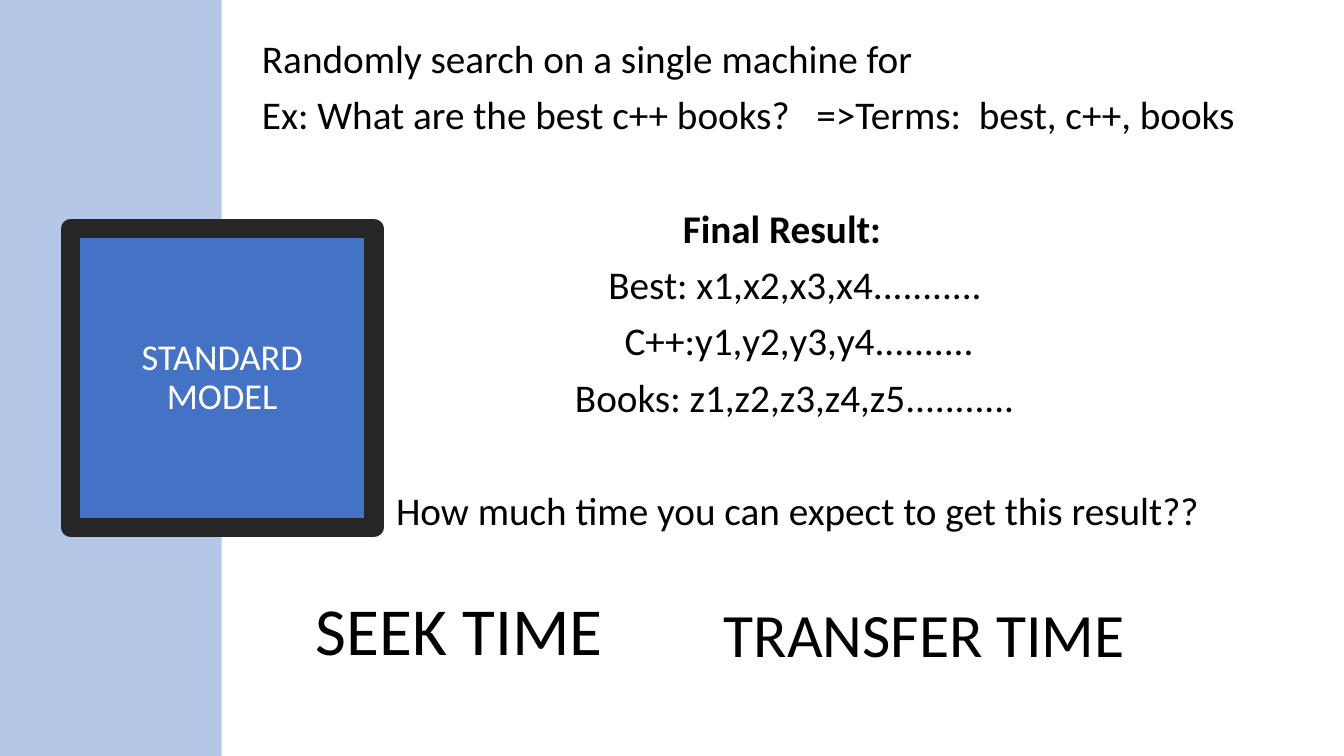
import pptx
import pptx.util
import pptx.dml.color
import pptx.enum.shapes
import pptx.enum.text
import pptx.oxml

Inches, Pt = pptx.util.Inches, pptx.util.Pt
ALIGN = pptx.enum.text.PP_ALIGN
ANCHOR = pptx.enum.text.MSO_ANCHOR
W, H = 13.33, 7.5
FONT = "Calibri"
COLORS = {"band": "B4C7E7", "panel": "4472C4", "frame": "262626",
          "text": "000000", "title": "FFFFFF"}

BODY_SIZE, BODY_GAP = 28, 10
BODY_SKIP = 51  # paragraph gap plus one empty line, in points
# text, alignment, left indent in inches, space before in points, bold
BODY = [
    ("Randomly search on a single machine for", ALIGN.LEFT, 0, BODY_GAP, False),
    ("Ex: What are the best c++ books?   =>Terms:  best, c++, books",
     ALIGN.LEFT, 0, BODY_GAP, False),
    ("Final Result:", ALIGN.CENTER, 0, BODY_SKIP, True),
    ("Best: x1,x2,x3,x4...........", ALIGN.CENTER, 0.26, BODY_GAP, False),
    ("C++:y1,y2,y3,y4..........", ALIGN.CENTER, 0.34, BODY_GAP, False),
    ("Books: z1,z2,z3,z4,z5...........", ALIGN.CENTER, 0.25, BODY_GAP, False),
    ("How much time you can expect to get this result??",
     ALIGN.LEFT, 1.33, BODY_SKIP, False),
]


def rgb(name):
    return pptx.dml.color.RGBColor.from_string(COLORS[name])


def style(p, size, color, align, bold=False):
    p.alignment = align
    for r in p.runs:
        r.font.name, r.font.size, r.font.bold = FONT, Pt(size), bold
        r.font.color.rgb = rgb(color)


def add_band(s, box):
    sp = s.shapes.add_shape(pptx.enum.shapes.MSO_SHAPE.RECTANGLE, *map(Inches, box))
    sp.shadow.inherit = False
    sp.fill.solid()
    sp.fill.fore_color.rgb = rgb("band")
    sp.line.fill.background()
    # Send the band behind the title
    s.shapes._spTree.insert(2, sp._element)


def set_title(s, box):
    sp = s.shapes.title
    sp.left, sp.top, sp.width, sp.height = map(Inches, box)
    sp.fill.solid()
    sp.fill.fore_color.rgb = rgb("panel")
    sp.line.color.rgb = rgb("frame")
    sp.line.width = Pt(13.75)
    # Rounded corners of the frame
    sp.line._get_or_add_ln().append(pptx.oxml.parse_xml(
        '<a:round xmlns:a="http://schemas.openxmlformats.org/drawingml/2006/main"/>'))
    tf = sp.text_frame
    tf.text = "STANDARD\vMODEL"
    tf.auto_size = pptx.enum.text.MSO_AUTO_SIZE.NONE
    tf.word_wrap = True
    tf.vertical_anchor = ANCHOR.MIDDLE
    p = tf.paragraphs[0]
    p.line_spacing = 0.9
    style(p, 26, "title", ALIGN.CENTER)


def add_body(s, box):
    tf = s.shapes.add_textbox(*map(Inches, box)).text_frame
    tf.word_wrap = True
    tf.text = "\n".join(row[0] for row in BODY)
    for p, (_, align, indent, before, bold) in zip(tf.paragraphs, BODY):
        p.line_spacing = 0.9
        p.space_before = Pt(before)
        style(p, BODY_SIZE, "text", align, bold)
        p._p.get_or_add_pPr().set("marL", str(Inches(indent)))


def add_term(s, box, text, size):
    tf = s.shapes.add_textbox(*map(Inches, box)).text_frame
    tf.word_wrap = True
    tf.text = text
    style(tf.paragraphs[0], size, "text", ALIGN.CENTER)


def main():
    prs = pptx.Presentation()
    prs.slide_width, prs.slide_height = Inches(W), Inches(H)
    s = prs.slides.add_slide(prs.slide_layouts[5])
    add_band(s, (0, 0, 0.165 * W, H))
    set_title(s, (0.7, 2.27, 3.01, 2.96))
    add_body(s, (2.5, 0.34, 10.51, 5.54))
    add_term(s, (2.67, 5.79, 3.77, 0.91), "SEEK TIME", 48)
    add_term(s, (7.03, 5.86, 4.28, 0.84), "TRANSFER TIME", 44)
    prs.save("out.pptx")


if __name__ == "__main__":
    main()
